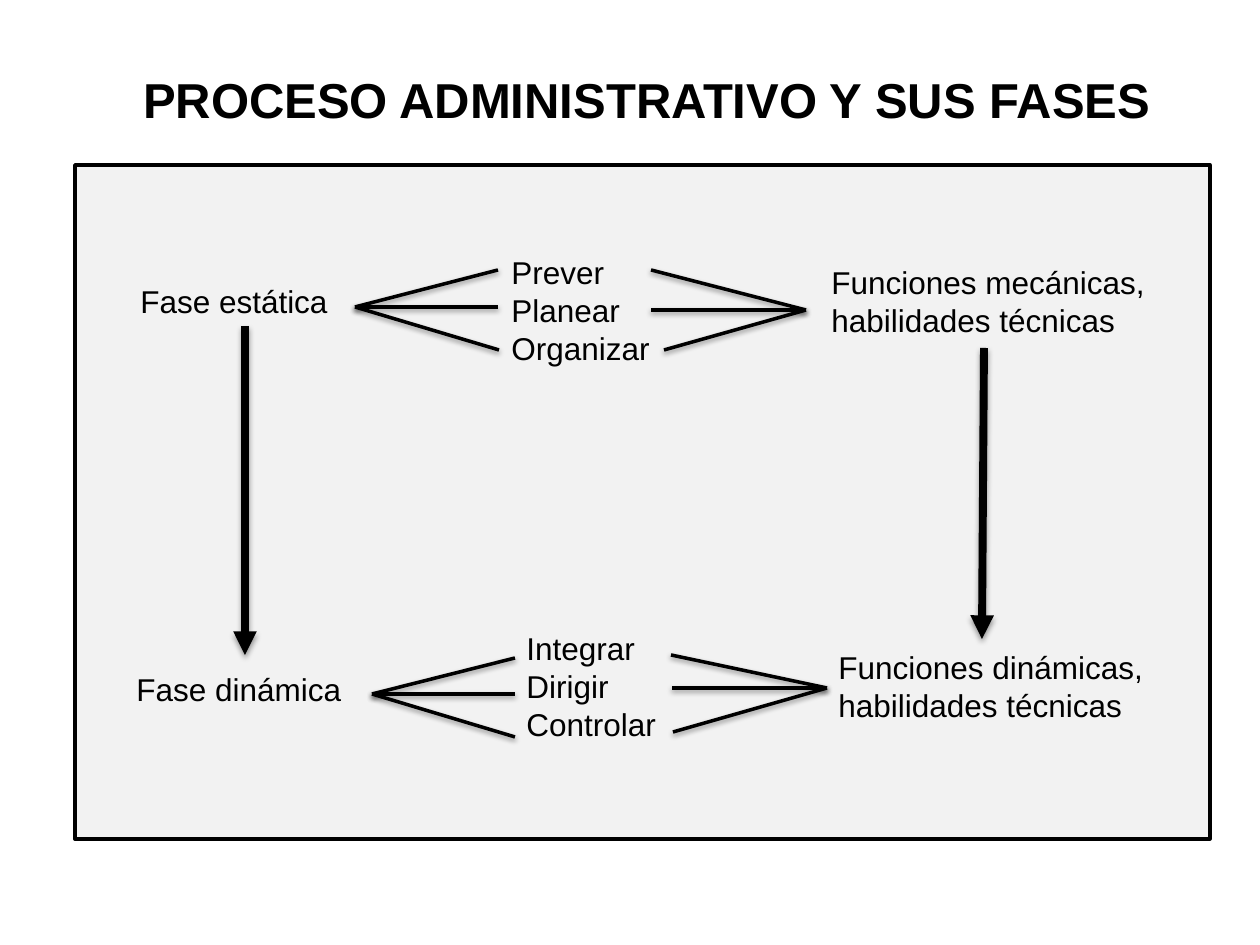
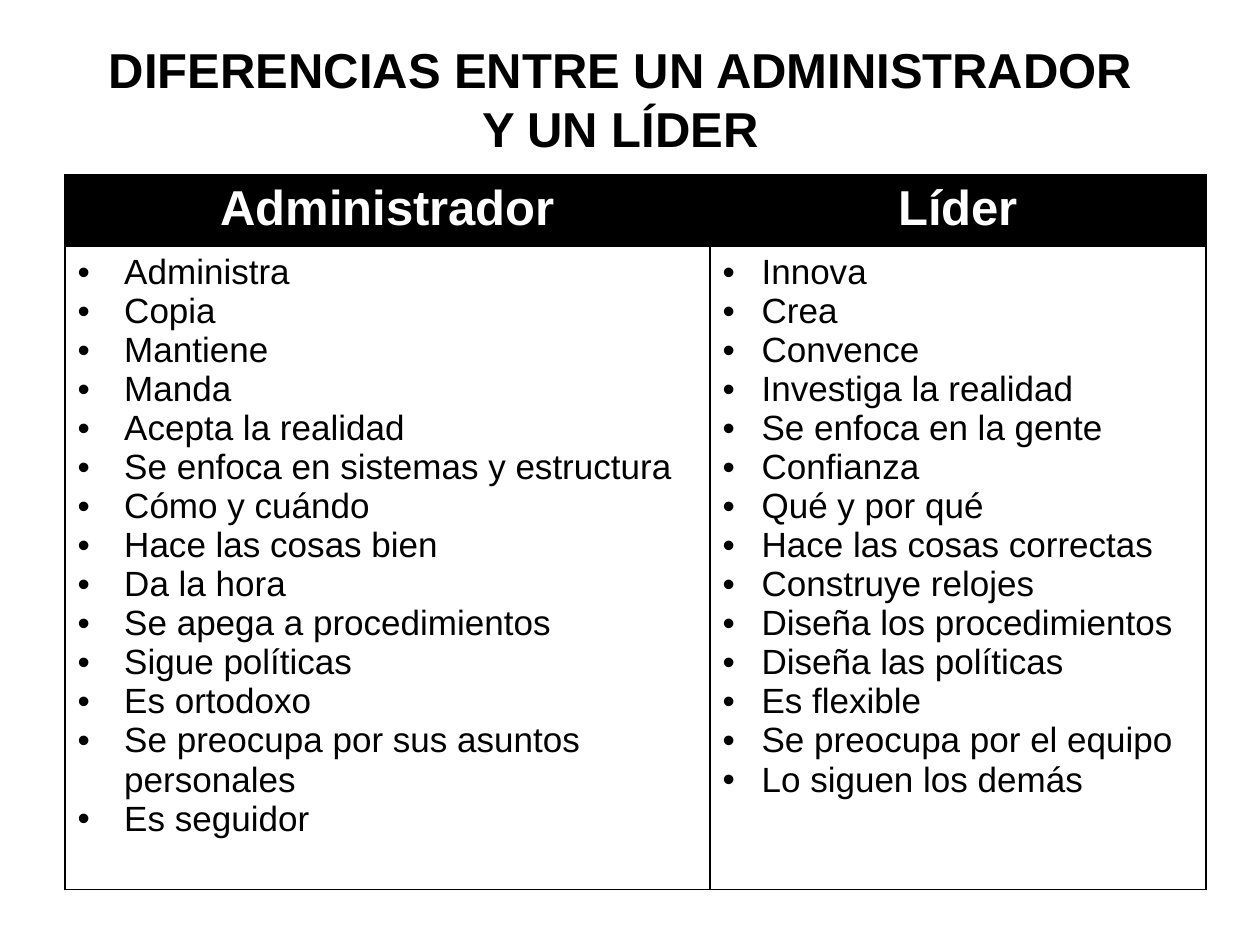
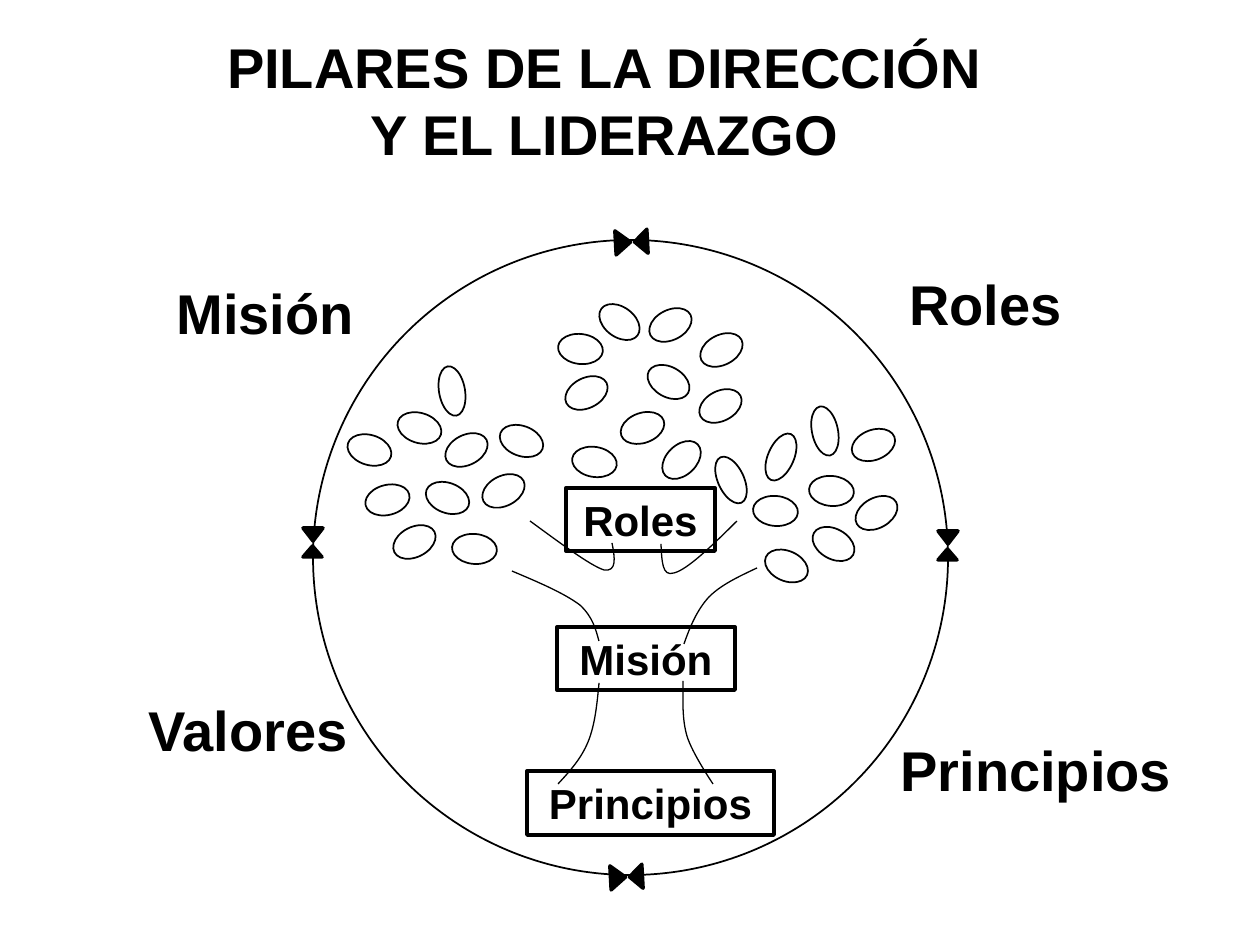
import pptx
import pptx.util
import pptx.dml.color
import pptx.enum.text
import pptx.enum.shapes
import pptx.oxml.ns
from dataclasses import dataclass
from lxml import etree


@dataclass(frozen=True)
class Theme:
    font: str = "Arial"
    ink: str = "000000"
    paper: str = "FFFFFF"
    panel: str = "F2F2F2"
    body: int = 18
    cell: int = 20
    box: int = 24
    head: int = 28
    big: int = 32


theme = Theme()
scale = 914400 / 126
shapes = pptx.enum.shapes.MSO_SHAPE
align = pptx.enum.text.PP_ALIGN
qn = pptx.oxml.ns.qn

heads = [
    ("PROCESO ADMINISTRATIVO Y SUS FASES", (125, 63, 1043, 72), theme.head, False),
    ("DIFERENCIAS ENTRE UN ADMINISTRADOR Y UN LÍDER", (85, 33, 1071, 190), theme.head, True),
    ("PILARES DE LA DIRECCIÓN Y EL LIDERAZGO", (193, 26, 823, 149), theme.big, True),
]

panel = (75, 165, 1135, 674)
notes = [
    (["Fase estática"], (128, 276, 214, 50)),
    (["Prever", "Planear", "Organizar"], (499, 247, 165, 127)),
    (["Fase dinámica"], (124, 664, 232, 50)),
    (["Funciones mecánicas, ", "habilidades técnicas"], (819, 257, 350, 89)),
    (["Integrar", "Dirigir", "Controlar"], (514, 623, 156, 127)),
    (["Funciones dinámicas, ", "habilidades técnicas"], (826, 642, 341, 89)),
]
flows = [((245, 326), (245, 655)), ((984, 348), (982, 639))]
fans = [
    ((355, 307), [(498, 307), (498, 270), (499, 350)]),
    ((372, 694), [(515, 694), (515, 658), (515, 737)]),
    ((806, 310), [(651, 310), (664, 350), (651, 270)]),
    ((827, 688), [(672, 688), (673, 732), (671, 655)]),
]

grid = (65, 175, 1141, 714)
rows = [71, 643]
cols = [
    ("Administrador", 645, 0.37, [
        "Administra", "Copia", "Mantiene", "Manda", "Acepta la realidad",
        "Se enfoca en sistemas y estructura", "Cómo y cuándo",
        "Hace las cosas bien", "Da la hora", "Se apega a procedimientos",
        "Sigue políticas", "Es ortodoxo",
        "Se preocupa por sus asuntos personales", "Es seguidor"]),
    ("Líder", 496, 0.31, [
        "Innova", "Crea", "Convence", "Investiga la realidad",
        "Se enfoca en la gente", "Confianza", "Qué y por qué",
        "Hace las cosas correctas", "Construye relojes",
        "Diseña los procedimientos", "Diseña las políticas", "Es flexible",
        "Se preocupa por el equipo", "Lo siguen los demás"]),
]

pillars = [
    ("Misión", (164, 272, 204, 81)),
    ("Roles", (897, 263, 179, 81)),
    ("Valores", (136, 689, 227, 81)),
    ("Principios", (888, 729, 299, 81)),
]
ring = (313, 240, 635, 635)
boxes = [
    ("Roles", (566, 488, 149, 63)),
    ("Misión", (557, 627, 178, 63)),
    ("Principios", (527, 771, 247, 64)),
]
curves = [
    [(530, 521), (560, 543), (591, 566), (604, 570), (617, 572), (615, 558), (612, 543)],
    [(737, 521), (712, 546), (687, 570), (674, 573), (662, 577), (662, 561), (661, 544)],
    [(512, 571), (538, 582), (564, 593), (580, 605), (593, 617), (596, 630), (599, 641)],
    [(757, 568), (738, 577), (721, 585), (709, 597), (697, 610), (690, 627), (684, 644)],
    [(599, 683), (597, 704), (595, 725), (588, 742), (581, 759), (570, 771), (558, 784)],
    [(683, 681), (683, 701), (682, 719), (687, 736), (692, 753), (713, 784), (713, 784)],
]
leaves = {
    (45, 30): [
        (698, 391, 333), (558, 334, 6.6), (564, 378, 333), (659, 445, 136.1),
        (597, 307, 216.4), (481, 476, 333), (365, 485, 345.7), (397, 413, 17),
        (392, 527, 333), (444, 435, 333), (425, 483, 20.7), (648, 310, 333),
        (452, 534, 4.9), (499, 426, 20.6), (572, 447, 9.2), (646, 367, 29.3),
        (620, 413, 340.5), (347, 435, 17), (753, 496, 4.9), (764, 551, 23.6),
        (811, 529, 29.2), (809, 476, 4.9), (854, 498, 331), (851, 430, 338.8),
        (699, 335, 333)],
    (50, 26): [
        (427, 378, 80.1), (756, 444, 293.5), (706, 467, 65.2), (800, 418, 258.2)],
}
knots = {
    "side": [(303, 528), (938, 531)],
    "pole": [(606, 870), (611, 235)],
}
tips = {
    "side": [(0, 18, 19, 11, 0), (0, 0, 20, 13, 180)],
    "pole": [(18, 0, 24, 13, 266.9), (0, 0, 24, 15, 86.9)],
}


def px(*nums):
    return [pptx.util.Emu(round(n * scale)) for n in nums]


def rgb(code):
    return pptx.dml.color.RGBColor.from_string(code)


def node(root, tag, **attrs):
    return etree.SubElement(root, qn(tag), {k: str(v) for k, v in attrs.items()})


def write(frame, lines, size=theme.body, bold=False, color=theme.ink,
          side=align.LEFT, wrap=True, indent=0):
    if wrap is not None:
        frame.word_wrap = wrap
    for i, line in enumerate(lines):
        para = frame.paragraphs[0] if i == 0 else frame.add_paragraph()
        para.alignment = side
        if indent:
            props = para._p.get_or_add_pPr()
            step = pptx.util.Inches(indent)
            props.set("marL", str(step))
            props.set("indent", str(-step))
            node(props, "a:buFont", typeface=theme.font)
            node(props, "a:buChar", char="•")
        run = para.add_run()
        run.text = line
        font = run.font
        font.name, font.size, font.bold = theme.font, pptx.util.Pt(size), bold
        font.color.rgb = rgb(color)


def label(slide, lines, at, **kw):
    frame = slide.shapes.add_textbox(*px(*at)).text_frame
    frame.auto_size = pptx.enum.text.MSO_AUTO_SIZE.SHAPE_TO_FIT_TEXT
    write(frame, lines, wrap=False, **kw)


def style(shape, fill, width):
    shape.shadow.inherit = False
    if fill:
        shape.fill.solid()
        shape.fill.fore_color.rgb = rgb(fill)
    else:
        shape.fill.background()
    shape.line.color.rgb = rgb(theme.ink)
    shape.line.width = pptx.util.Pt(width)


def draw(slide, kind, at, fill=None, width=1, turn=0):
    shape = slide.shapes.add_shape(kind, *px(*at))
    style(shape, fill, width)
    shape.rotation = turn
    return shape


def link(slide, start, end, width=2, arrow=False):
    line = slide.shapes.add_connector(
        pptx.enum.shapes.MSO_CONNECTOR.STRAIGHT, *px(*start, *end))
    line.line.color.rgb = rgb(theme.ink)
    line.line.width = pptx.util.Pt(width)
    if arrow:
        node(line.line._get_or_add_ln(), "a:tailEnd", type="triangle")
    glow = node(node(line._element.spPr, "a:effectLst"), "a:outerShdw",
                blurRad=pptx.util.Pt(3.1), dist=pptx.util.Pt(1.6),
                dir=5400000, rotWithShape=0)
    node(node(glow, "a:srgbClr", val=theme.ink), "a:alpha", val=38000)


def curve(slide, pts):
    form = slide.shapes.build_freeform(*px(*pts[0]), scale=1)
    form.add_line_segments([px(*p) for p in pts[3::3]], close=False)
    shape = form.convert_to_shape()
    style(shape, None, 0.75)
    segs = list(shape._element.spPr.iter(qn("a:lnTo")))
    for i, seg in enumerate(segs):
        bend = etree.Element(qn("a:cubicBezTo"))
        for p in pts[3 * i + 1:3 * i + 4]:
            x, y = px(*p)
            node(bend, "a:pt", x=x - shape.left, y=y - shape.top)
        seg.getparent().replace(seg, bend)


def edge(cell):
    props = cell._tc.get_or_add_tcPr()
    for i, tag in enumerate(("a:lnL", "a:lnR", "a:lnT", "a:lnB")):
        line = node(props, tag, w=pptx.util.Pt(1))
        node(node(line, "a:solidFill"), "a:srgbClr", val=theme.ink)
        props.insert(i, line)


def pour(cell, lines, fill, **kw):
    cell.fill.solid()
    cell.fill.fore_color.rgb = rgb(fill)
    edge(cell)
    write(cell.text_frame, lines, wrap=None, **kw)


def page(deck, text, at, size, wrap):
    slide = deck.slides.add_slide(deck.slide_layouts[5])
    title = slide.shapes.title
    title.left, title.top, title.width, title.height = px(*at)
    frame = title.text_frame
    frame.auto_size = pptx.enum.text.MSO_AUTO_SIZE.SHAPE_TO_FIT_TEXT
    frame.vertical_anchor = pptx.enum.text.MSO_ANCHOR.TOP
    write(frame, [text], size=size, bold=True, side=align.CENTER, wrap=wrap)
    return slide


def phases(slide):
    draw(slide, shapes.RECTANGLE, panel, theme.panel, 2)
    for lines, at in notes:
        label(slide, lines, at)
    for start, end in flows:
        link(slide, start, end, 4.5, True)
    for hub, ends in fans:
        for end in ends:
            link(slide, hub, end)


def contrast(slide):
    table = slide.shapes.add_table(len(rows), len(cols), *px(*grid)).table
    table.horz_banding = False
    for row, high in zip(table.rows, rows):
        row.height = px(high)[0]
    for i, (head, wide, indent, items) in enumerate(cols):
        table.columns[i].width = px(wide)[0]
        pour(table.cell(0, i), [head], theme.ink, size=theme.head,
             bold=True, color=theme.paper, side=align.CENTER)
        pour(table.cell(1, i), items, theme.paper, size=theme.cell,
             indent=indent)


def tree(slide):
    for text, at in pillars:
        label(slide, [text], at, size=theme.big, bold=True)
    draw(slide, shapes.OVAL, ring, theme.paper)
    for text, at in boxes:
        box = draw(slide, shapes.RECTANGLE, at, width=2.25)
        box.text_frame.vertical_anchor = pptx.enum.text.MSO_ANCHOR.TOP
        write(box.text_frame, [text], size=theme.box, bold=True, side=align.CENTER)
    for pts in curves:
        curve(slide, pts)
    for size, spots in leaves.items():
        for x, y, turn in spots:
            draw(slide, shapes.OVAL, (x, y, *size), theme.paper, turn=turn)
    for kind, spots in knots.items():
        for x, y in spots:
            for dx, dy, wide, high, turn in tips[kind]:
                draw(slide, shapes.ISOSCELES_TRIANGLE,
                     (x + dx, y + dy, wide, high), theme.ink, 2, turn)


deck = pptx.Presentation()
deck.slide_width, deck.slide_height = px(1260, 945)
for head, build in zip(heads, (phases, contrast, tree)):
    build(page(deck, *head))
deck.save("out.pptx")
